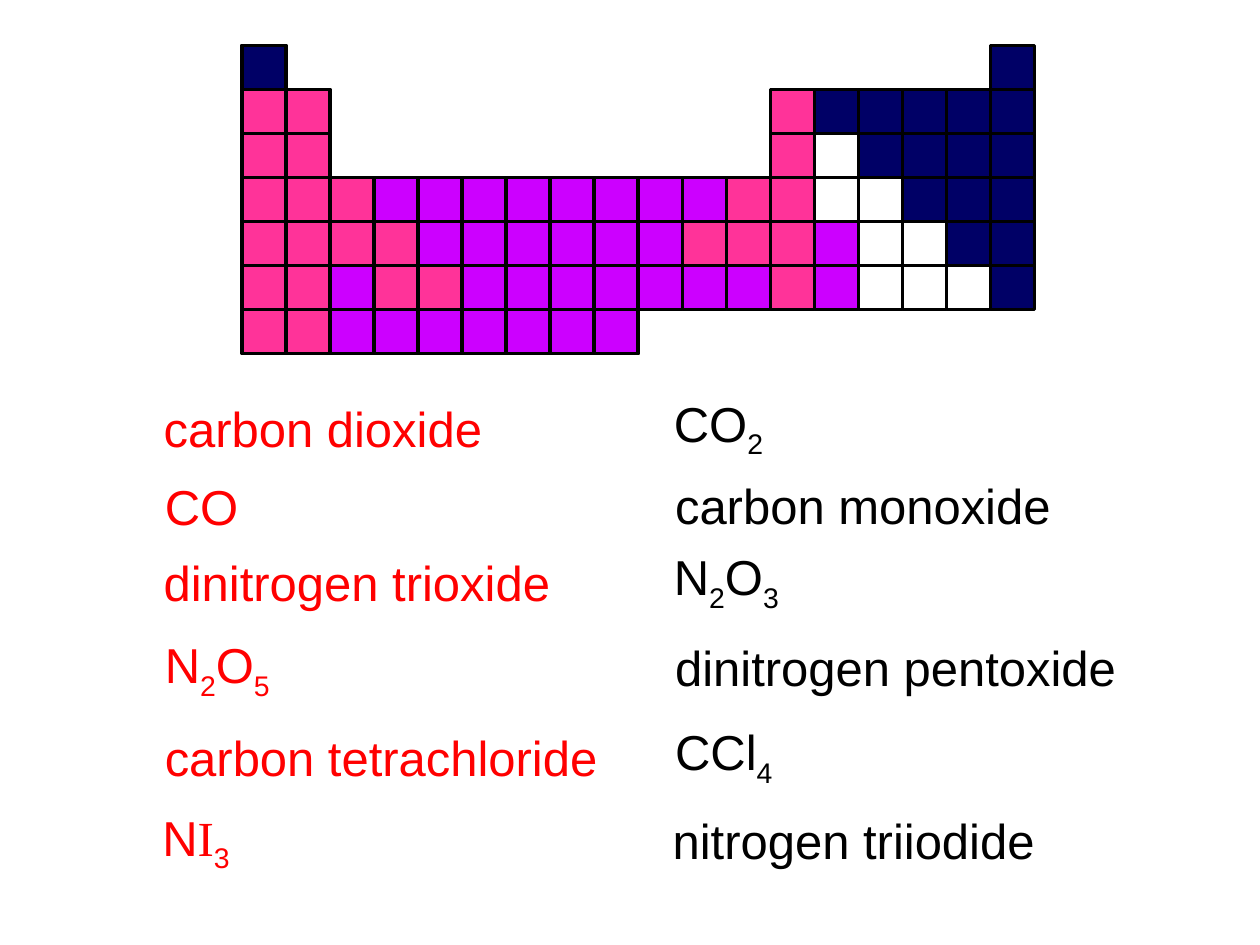
"""Build a slide with a coloured periodic table and compound names beside formulas."""
from pptx import Presentation
from pptx.dml.color import RGBColor
from pptx.enum.shapes import MSO_SHAPE
from pptx.enum.text import MSO_ANCHOR, MSO_AUTO_SIZE
from pptx.util import Pt

COLORS = {
    "prompt": "FF0000",
    "answer": "000000",
    "border": "000000",
    "P": "FF3399",
    "V": "CC00FF",
    "N": "000066",
    "W": "FFFFFF",
}
PERIODS = [
    "N................N",
    "PP..........PNNNNN",
    "PP..........PWNNNN",
    "PPPVVVVVVVVPPWWNNN",
    "PPPPVVVVVVPPPVWWNN",
    "PPVPPVVVVVVVPVWWWN",
    "PPVVVVVVV.........",
]
TABLE_LEFT, TABLE_TOP, CELL = 138.24, 25.92, 25.17
ANSWER_SHIFT, ANSWER_RISE = 291.6, 0.72
LINE_HEIGHT = 41.04
SUBSCRIPT, SERIF = "_", "~"
COMPOUNDS = [
    (86.4, 223.92, "carbon dioxide ", 205.2, "CO|_2 ", 74.88),
    (87.12, 268.56, "CO ", 64.08, "carbon monoxide ", 237.6),
    (86.4, 311.76, "dinitrogen trioxide ", 244.08, "N|_2|O|_3 ", 85.68),
    (87.12, 361.44, "N|_2|O|_5 ", 85.68, "dinitrogen pentoxide ", 275.04),
    (87.12, 411.84, "carbon tetrachloride ", 270.72, "CCl|_4 ", 79.92),
    (85.68, 460.08, "N|~I|_3 ", 62.64, "nitrogen triiodide ", 229.68),
]


def rgb(name):
    return RGBColor.from_string(COLORS[name])


def add_text(slide, text, *, left, top, width, color, size=28, font="Arial"):
    label = slide.shapes.add_textbox(Pt(left), Pt(top), Pt(width), Pt(LINE_HEIGHT))
    frame = label.text_frame
    frame.word_wrap = False
    frame.auto_size = MSO_AUTO_SIZE.SHAPE_TO_FIT_TEXT
    frame.vertical_anchor = MSO_ANCHOR.MIDDLE
    for part in text.split("|"):
        run = frame.paragraphs[0].add_run()
        run.text = part.lstrip(SUBSCRIPT + SERIF)
        run.font.size = Pt(size)
        run.font.name = "Times New Roman" if part.startswith(SERIF) else font
        run.font.color.rgb = rgb(color)
        if part.startswith(SUBSCRIPT):
            run._r.get_or_add_rPr().set("baseline", "-25000")


def add_element_cell(slide, column, period, kind):
    cell = slide.shapes.add_shape(
        MSO_SHAPE.RECTANGLE,
        Pt(TABLE_LEFT + column * CELL),
        Pt(TABLE_TOP + period * CELL),
        Pt(CELL),
        Pt(CELL),
    )
    cell.shadow.inherit = False
    cell.fill.solid()
    cell.fill.fore_color.rgb = rgb(kind)
    cell.line.color.rgb = rgb("border")
    cell.line.width = Pt(2)


def add_periodic_table(slide):
    for period, kinds in enumerate(PERIODS):
        for column, kind in enumerate(kinds):
            if kind != ".":
                add_element_cell(slide, column, period, kind)


def add_compounds(slide):
    for left, top, prompt, prompt_width, answer, answer_width in COMPOUNDS:
        add_text(slide, prompt, left=left, top=top, width=prompt_width, color="prompt")
        add_text(slide, answer, left=left + ANSWER_SHIFT, top=top - ANSWER_RISE,
                 width=answer_width, color="answer")


def main():
    deck = Presentation()
    deck.slide_width, deck.slide_height = Pt(720), Pt(540)
    slide = deck.slides.add_slide(deck.slide_layouts[6])
    add_compounds(slide)
    add_periodic_table(slide)
    deck.save("out.pptx")


main()
